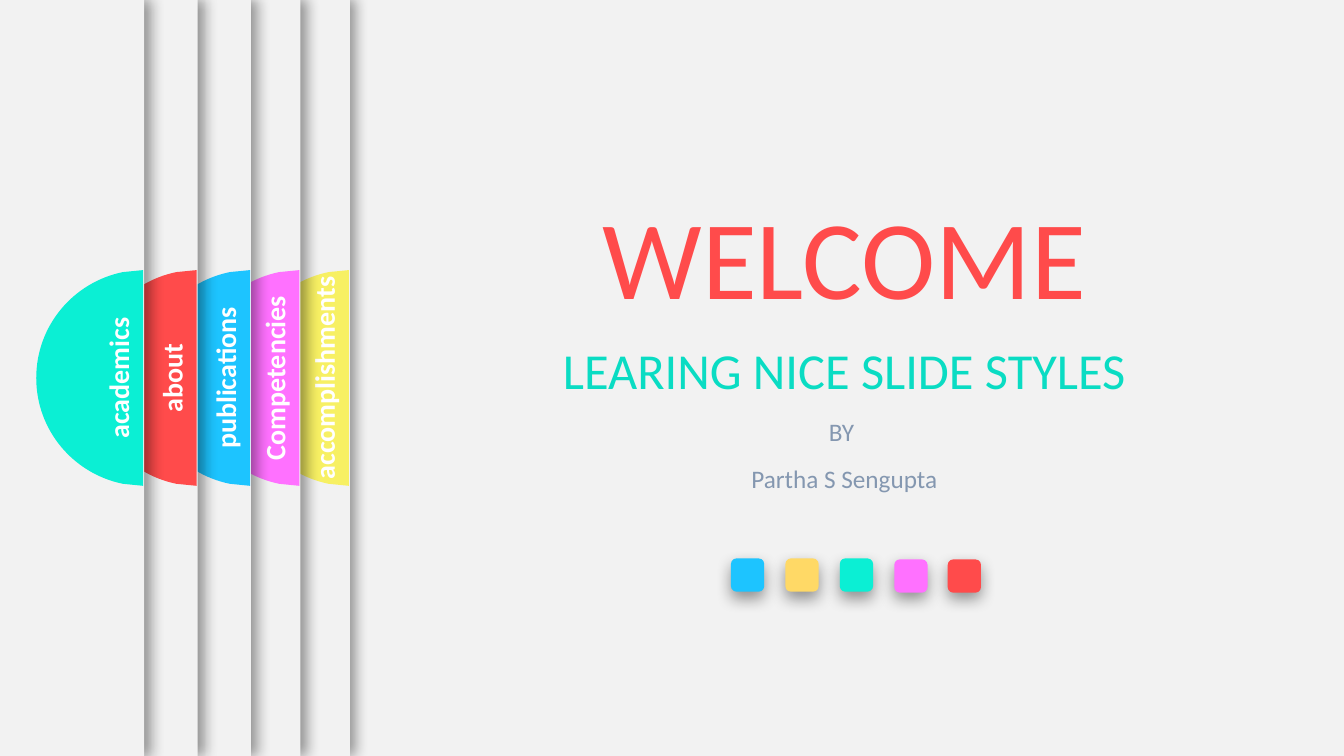
from dataclasses import dataclass

from lxml import etree
from pptx import Presentation
from pptx import util as u
from pptx.dml.color import RGBColor
from pptx.enum import shapes, text
from pptx.oxml.ns import qn
from pptx.shapes.autoshape import Shape
from pptx.slide import Slide

PX = 9144
SLIDE_W, SLIDE_H = 1333, 750
PANEL_W = 1168
LABEL_W, LABEL_H = 234, 49
SWATCH = 33
FONT = "Calibri"

PAPER = RGBColor(0xF2, 0xF2, 0xF2)
WHITE = RGBColor(0xFF, 0xFF, 0xFF)
YELLOW = RGBColor(0xF7, 0xF0, 0x63)
AMBER = RGBColor(0xFF, 0xD9, 0x66)
PINK = RGBColor(0xFF, 0x71, 0xFF)
BLUE = RGBColor(0x1D, 0xC4, 0xFF)
RED = RGBColor(0xFF, 0x4B, 0x4B)
TEAL = RGBColor(0x0B, 0xEF, 0xD4)
DARK_TEAL = RGBColor(0x0A, 0xDC, 0xC3)
SLATE = RGBColor(0x84, 0x97, 0xB0)


@dataclass(frozen=True)
class Tab:
    label: str
    edge: int
    color: RGBColor


@dataclass(frozen=True)
class Swatch:
    left: int
    top: int
    color: RGBColor


@dataclass(frozen=True)
class Line:
    words: str
    size: int
    color: RGBColor


TABS = [
    Tab("accomplishments", 346, YELLOW),
    Tab("Competencies", 297, PINK),
    Tab("publications", 248, BLUE),
    Tab("about", 195, RED),
    Tab("academics", 142, TEAL),
]
SWATCHES = [
    Swatch(725, 554, BLUE),
    Swatch(779, 554, AMBER),
    Swatch(833, 554, TEAL),
    Swatch(887, 555, PINK),
    Swatch(940, 555, RED),
]
WELCOME = [
    Line("WELCOME", 80, RED),
    Line("LEARING NICE SLIDE STYLES", 36, DARK_TEAL),
    Line("BY ", 18, SLATE),
    Line("Partha S Sengupta", 18, SLATE),
]
HALF_DISC = [(0, 268), (0, 482), (-20, 480), (-69, 470), (-106, 427),
             (-106, 375), (-106, 323), (-69, 280), (-20, 270)]


def px(value: float) -> u.Emu:
    return u.Emu(round(value * PX))


def paint(sp: Shape, color: RGBColor) -> None:
    sp.fill.solid()
    sp.fill.fore_color.rgb = color
    sp.line.fill.background()
    sp.shadow.inherit = False


def add_shadow(sp: Shape, blur: int, distance: int, angle: int) -> None:
    effects = sp._element.spPr.find(qn("a:effectLst"))
    shadow = etree.SubElement(
        effects, qn("a:outerShdw"), blurRad=str(u.Pt(blur)),
        dist=str(u.Pt(distance)), dir=str(angle * 60000),
        algn="ctr", rotWithShape="0")
    color = etree.SubElement(shadow, qn("a:srgbClr"), val="000000")
    etree.SubElement(color, qn("a:alpha"), val="40000")


def round_side(sp: Shape) -> None:
    segments = list(sp._element.iter(qn("a:lnTo")))
    for first in (2, 5):
        corners = segments[first:first + 3]
        curve = etree.Element(qn("a:cubicBezTo"))
        corners[0].addprevious(curve)
        for corner in corners:
            curve.append(corner[0])
            corner.getparent().remove(corner)


def write(sp: Shape, lines: list[Line], bold: bool = False) -> None:
    tf = sp.text_frame
    tf.text = "\n".join(line.words for line in lines)
    for i, (p, line) in enumerate(zip(tf.paragraphs, lines)):
        p.alignment = text.PP_ALIGN.CENTER
        p.space_before = u.Pt(12 if i else 0)
        for r in p.runs:
            r.font.name = FONT
            r.font.size = u.Pt(line.size)
            r.font.bold = bold
            r.font.color.rgb = line.color


def fill_title(sp: Shape) -> None:
    sp.left, sp.top, sp.width, sp.height = px(431), px(101), px(813), px(548)
    write(sp, WELCOME)
    tf = sp.text_frame
    tf.word_wrap = True
    tf.auto_size = text.MSO_AUTO_SIZE.NONE
    tf.vertical_anchor = text.MSO_ANCHOR.TOP
    tf.margin_top = px(85)


def add_tab(s: Slide, tab: Tab) -> None:
    group = s.shapes.add_group_shape()
    panel = group.shapes.add_shape(
        shapes.MSO_SHAPE.RECTANGLE, px(tab.edge - PANEL_W + 1), 0,
        px(PANEL_W), px(SLIDE_H))
    paint(panel, PAPER)
    add_shadow(panel, 10, 4, 0)

    points = [(px(tab.edge + x), px(y)) for x, y in HALF_DISC]
    outline = group.shapes.build_freeform(*points[0], scale=1.0)
    outline.add_line_segments(points[1:], close=True)
    half_disc = outline.convert_to_shape()
    round_side(half_disc)
    paint(half_disc, tab.color)

    label = group.shapes.add_textbox(
        px(tab.edge - LABEL_W / 2 - 25), px((SLIDE_H - LABEL_H) / 2),
        px(LABEL_W), px(LABEL_H))
    label.rotation = 270
    label.text_frame.word_wrap = True
    label.text_frame.vertical_anchor = text.MSO_ANCHOR.MIDDLE
    write(label, [Line(tab.label, 20, WHITE)], bold=True)


def add_swatch(s: Slide, swatch: Swatch) -> None:
    sp = s.shapes.add_shape(
        shapes.MSO_SHAPE.ROUNDED_RECTANGLE, px(swatch.left), px(swatch.top),
        px(SWATCH), px(SWATCH))
    paint(sp, swatch.color)
    add_shadow(sp, 11, 5, 90)


def main() -> None:
    prs = Presentation()
    prs.slide_width, prs.slide_height = px(SLIDE_W), px(SLIDE_H)
    s = prs.slides.add_slide(prs.slide_layouts[5])
    s.background.fill.solid()
    s.background.fill.fore_color.rgb = PAPER
    for tab in TABS:
        add_tab(s, tab)
    fill_title(s.shapes.title)
    for swatch in SWATCHES:
        add_swatch(s, swatch)
    prs.save("out.pptx")


if __name__ == "__main__":
    main()
